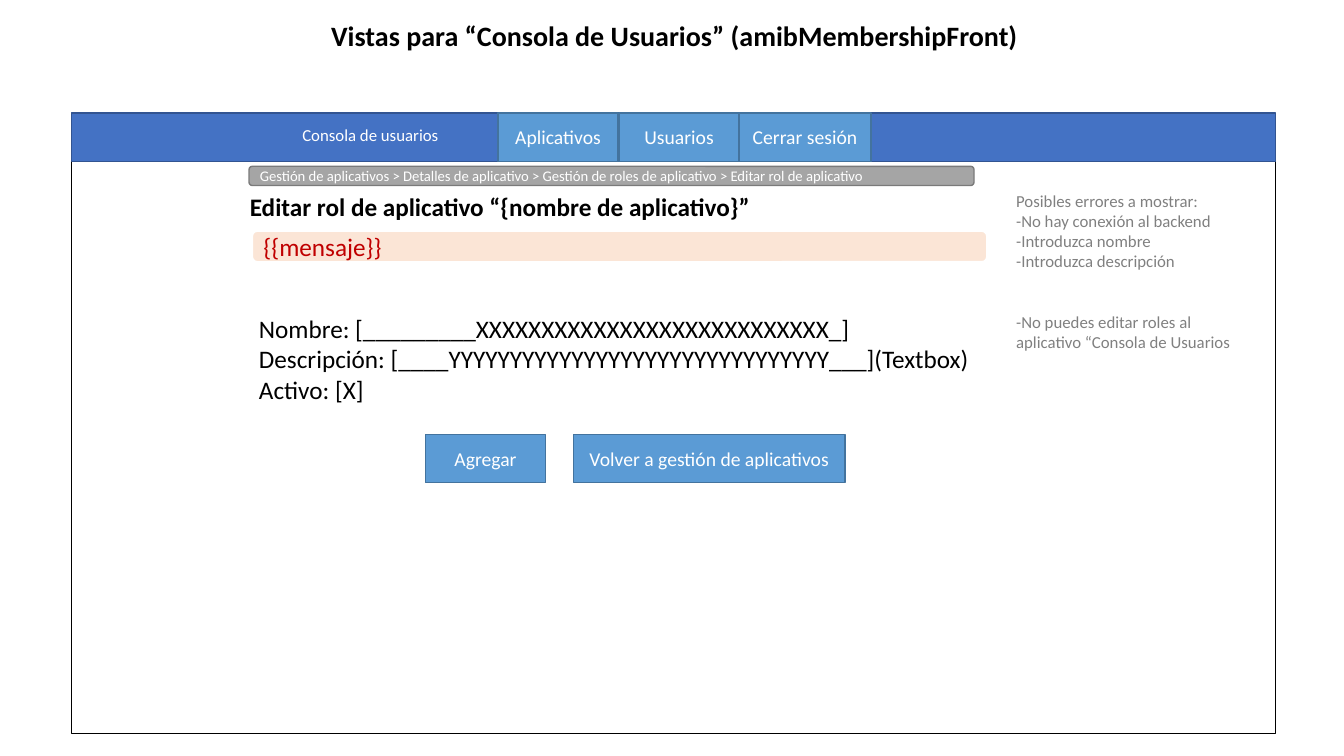
"""Build the user console mockup slide for editing an application role."""
from pptx import Presentation
from pptx.dml.color import RGBColor
from pptx.enum.shapes import MSO_SHAPE as SHAPE
from pptx.enum.text import MSO_ANCHOR as ANCHOR, PP_ALIGN as ALIGN
from pptx.util import Inches, Pt

WHITE = RGBColor(0xFF, 0xFF, 0xFF)
BLACK = RGBColor(0, 0, 0)
NAVY = RGBColor(0x44, 0x72, 0xC4)
NAVY_EDGE = RGBColor(0x32, 0x54, 0x91)
BLUE = RGBColor(0x5B, 0x9B, 0xD5)
BLUE_EDGE = RGBColor(0x43, 0x73, 0x9E)
PEACH = RGBColor(0xFB, 0xE5, 0xD6)
RED = RGBColor(0xC0, 0, 0)
GRAY = RGBColor(0xA5, 0xA5, 0xA5)
GRAY_EDGE = RGBColor(0x7A, 0x7A, 0x7A)
NOTE_GRAY = RGBColor(0x80, 0x80, 0x80)


def write(sp, lines, size, color, bold=False, align=ALIGN.LEFT, anchor=ANCHOR.TOP):
    tf = sp.text_frame
    tf.word_wrap = True
    tf.vertical_anchor = anchor
    for i, line in enumerate(lines):
        p = tf.add_paragraph() if i else tf.paragraphs[0]
        p.alignment = align
        r = p.add_run()
        r.text = line
        r.font.name = "Calibri"
        r.font.size = Pt(size)
        r.font.bold = bold
        r.font.color.rgb = color
    return tf


def add_box(kind, box, fill, edge, width=1):
    sp = s.shapes.add_shape(kind, *map(Inches, box))
    sp.shadow.inherit = False
    sp.fill.solid()
    sp.fill.fore_color.rgb = fill
    sp.line.color.rgb = edge
    sp.line.width = Pt(width)
    return sp


prs = Presentation()
prs.slide_width, prs.slide_height = Inches(13.33), Inches(7.5)
s = prs.slides.add_slide(prs.slide_layouts[5])

title = s.shapes.title
title.left, title.top, title.width, title.height = map(Inches, (1.69, 0.17, 10, 0.4))
tf = write(title, ["Vistas para “Consola de Usuarios” (amibMembershipFront)"],
           20, BLACK, True, ALIGN.CENTER, ANCHOR.MIDDLE)
tf.paragraphs[0].line_spacing = 0.9

add_box(SHAPE.RECTANGLE, (0.71, 1.13, 11.94, 6.15), WHITE, BLACK)
add_box(SHAPE.RECTANGLE, (0.71, 1.12, 11.94, 0.48), NAVY, NAVY_EDGE)

buttons = [
    ("Aplicativos", 4.94, 1.12, 1.19),
    ("Usuarios", 6.14, 1.12, 1.19),
    ("Cerrar sesión", 7.33, 1.12, 1.31),
    ("Agregar", 4.22, 4.31, 1.19),
    ("Volver a gestión de aplicativos", 5.69, 4.31, 2.69),
]
for label, left, top, width in buttons:
    sp = add_box(SHAPE.RECTANGLE, (left, top, width, 0.48), BLUE, BLUE_EDGE)
    write(sp, [label], 14, WHITE, align=ALIGN.CENTER, anchor=ANCHOR.MIDDLE)

message = add_box(SHAPE.ROUNDED_RECTANGLE, (2.5, 2.29, 7.29, 0.31), PEACH, WHITE, 1.5)
write(message, ["{{mensaje}}"], 18, RED, anchor=ANCHOR.MIDDLE)

breadcrumb = add_box(SHAPE.ROUNDED_RECTANGLE, (2.47, 1.65, 7.19, 0.19), GRAY, GRAY_EDGE)
write(breadcrumb, ["Gestión de aplicativos > Detalles de aplicativo > "
                   "Gestión de roles de aplicativo > Editar rol de aplicativo"],
      10.5, WHITE, anchor=ANCHOR.MIDDLE)

form = [
    "Nombre: [_________XXXXXXXXXXXXXXXXXXXXXXXXXXX_]",
    "Descripción: [____YYYYYYYYYYYYYYYYYYYYYYYYYYYYYYY___](Textbox)",
    "Activo: [X]",
]
errors = [
    "Posibles errores a mostrar:",
    "-No hay conexión al backend",
    "-Introduzca nombre",
    "-Introduzca descripción",
    "-No puedes editar roles al aplicativo “Consola de Usuarios",
]
texts = [
    ((2.9, 1.19, 1.92, 0.3), ["Consola de usuarios"], 12, WHITE, False),
    ((2.38, 1.85, 8.67, 0.4), ["Editar rol de aplicativo “{nombre de aplicativo}”"],
     18, BLACK, True),
    ((2.47, 3.06, 7.28, 1.01), form, 18, BLACK, False),
    ((9.98, 1.84, 2.45, 1.72), errors, 12, NOTE_GRAY, False),
]
for box, lines, size, color, bold in texts:
    sp = s.shapes.add_textbox(*map(Inches, box))
    tf = write(sp, lines, size, color, bold)
    if lines is errors:
        tf.paragraphs[-1].space_before = Pt(29)

prs.save("out.pptx")
